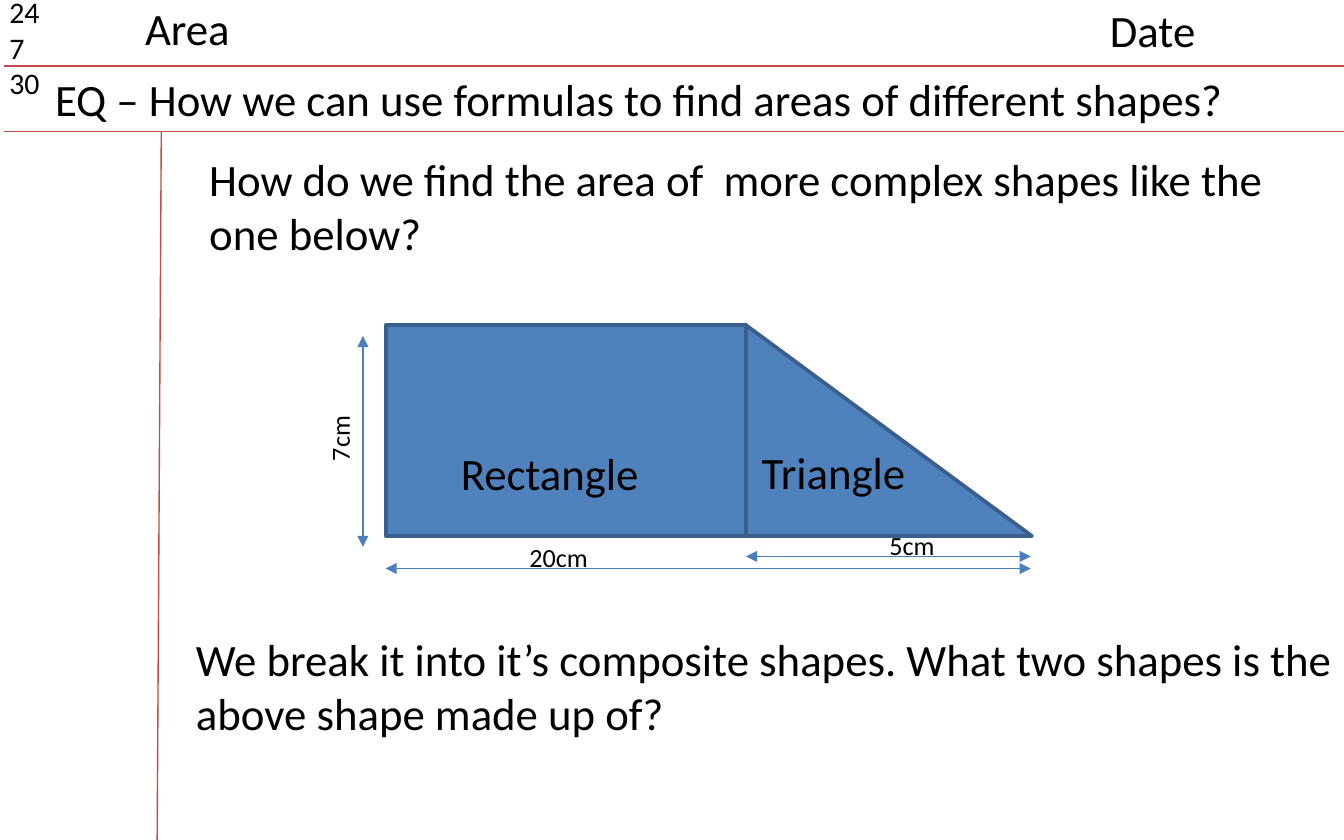
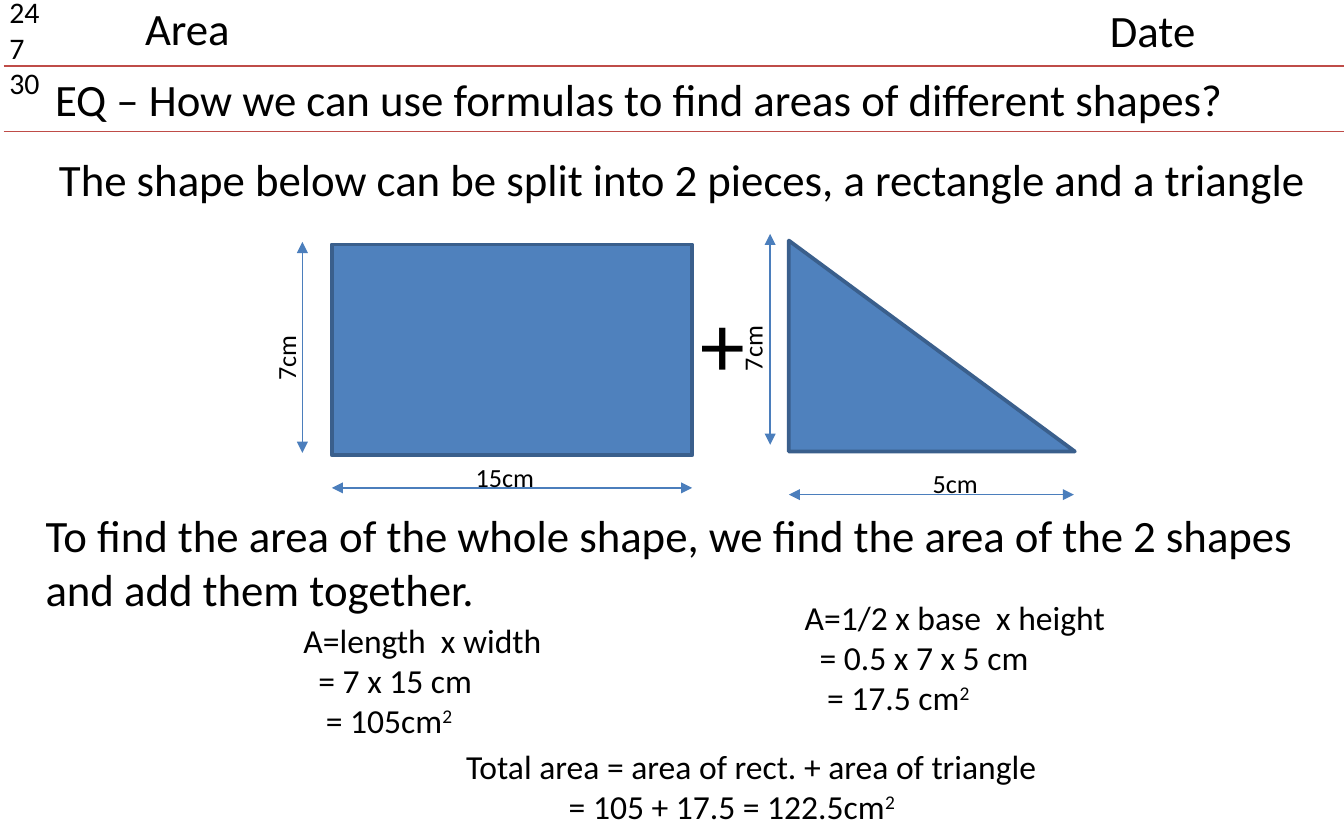
from lxml import etree
from pptx import Presentation
from pptx import util as u
from pptx.dml.color import RGBColor
from pptx.enum import shapes, text
from pptx.oxml import ns

Pt = u.Pt
COLORS = {"text": "000000", "rule": "BF4C48", "fill": "4F81BD", "edge": "3A5F8C", "arrow": "4B7EBC"}
FONT = "Calibri"
WIDTH, HEIGHT = 720, 450
RULES = [(2, 35.3, 722, 35.3), (2, 70.6, 722, 70.6)]
QUESTION = "EQ – How we can use formulas to find areas of different shapes?"
QUESTION_BOX = (22.3, 34.6, 668, 36)
HEADER = [
    (["24", "7", "30"], (-2, -7, 45, 66), 16),
    (["Area"], (70.6, -3, 60, 36), 24),
    (["Date"], (587.5, -2, 124.5, 36), 24),
]
SHAPES = {
    "rectangle": (shapes.MSO_SHAPE.RECTANGLE, 193, 113),
    "triangle": (shapes.MSO_SHAPE.RIGHT_TRIANGLE, 153.2, 113),
}
LABEL_WIDTH, LABEL_HEIGHT, LABEL_RISE = 73.4, 24.5, 18
SQUARED = "²"

SLIDES = [
    {
        "rules": [(86.4, 70.6, 84.2, 450)],
        "figures": [("rectangle", 206.6, 174.2), ("triangle", 399.6, 174.2)],
        "widths": [("20cm", 206.6, 552.2, 304.6, 276.5), ("5cm", 399.6, 552.2, 298.1, 469.4)],
        "heights": [("7cm", 194.4, 293, 180, 145.4, 205.2)],
        "texts": [
            (["How do we find the area of  more complex shapes like the one below?"],
             (105, 77.8, 586, 66), 24),
            (["We break it into it’s composite shapes. What two shapes is the above shape made up of?"],
             (97.9, 334.8, 641.5, 66), 24),
            (["Rectangle"], (239.8, 235.4, 111, 36), 24),
            (["Triangle"], (401, 234.7, 92.2, 36), 24),
        ],
        "workings": [],
    },
    {
        "rules": [],
        "figures": [("rectangle", 177.8, 131), ("triangle", 422.6, 128.9)],
        "widths": [("15cm", 177.8, 370.8, 261.4, 247.7), ("5cm", 422.6, 575.3, 265, 492.5)],
        "heights": [("7cm", 162, 242.6, 129.6, 116.6, 162), ("7cm", 412.6, 238.3, 125.3, 366.5, 157)],
        "texts": [
            (["The shape below can be split into 2 pieces, a rectangle and a triangle"],
             (24.5, 77.8, 697.7, 36), 24),
            (["To find the area of the whole shape, we find the area of the 2 shapes and add them together."],
             (17.3, 268.6, 697.7, 66), 24),
            (["+"], (368, 150.5, 79, 66), 48),
        ],
        "workings": [
            (["A=length  x width", "= 7 x 15 cm", "= 105cm²"], (155.5, 328.3, 210, 73), (0, 8, 12)),
            (["A=1/2 x base  x height", "= 0.5 x 7 x 5 cm", "= 17.5 cm²"], (424, 316, 210, 73), (0, 8, 12)),
            (["Total area = area of rect. + area of triangle", "= 105 + 17.5 = 122.5cm²"],
             (242.6, 396, 331, 51), (0, 55)),
        ],
    },
]


def color(name):
    return RGBColor.from_string(COLORS[name])


def style(paragraph, size):
    paragraph.font.name = FONT
    paragraph.font.size = Pt(size)
    paragraph.font.color.rgb = color("text")


def write_line(paragraph, line):
    paragraph.add_run().text = line.rstrip(SQUARED)
    if line.endswith(SQUARED):
        power = paragraph.add_run()
        power.text = "2"
        power.font._element.set("baseline", "30000")


def add_text(slide, lines, box, size, indents=(), rotation=0):
    holder = slide.shapes.add_textbox(*map(Pt, box))
    holder.rotation = rotation
    frame = holder.text_frame
    frame.word_wrap = True
    frame.auto_size = text.MSO_AUTO_SIZE.SHAPE_TO_FIT_TEXT
    for i, line in enumerate(lines):
        paragraph = frame.add_paragraph() if i else frame.paragraphs[0]
        if indents:
            paragraph._p.get_or_add_pPr().set("marL", str(Pt(indents[i])))
        write_line(paragraph, line)
        style(paragraph, size)


def add_line(slide, ends, name, arrows=False):
    line = slide.shapes.add_connector(shapes.MSO_CONNECTOR.STRAIGHT, *map(Pt, ends))
    line.line.color.rgb = color(name)
    line.line.width = Pt(0.75)
    if arrows:
        for end in ("a:headEnd", "a:tailEnd"):
            etree.SubElement(line.line._get_or_add_ln(), ns.qn(end), type="triangle")
    etree.SubElement(line._element.spPr, ns.qn("a:effectLst"))


def add_figure(slide, name, left, top):
    preset, width, height = SHAPES[name]
    figure = slide.shapes.add_shape(preset, Pt(left), Pt(top), Pt(width), Pt(height))
    figure.shadow.inherit = False
    figure.fill.solid()
    figure.fill.fore_color.rgb = color("fill")
    figure.line.color.rgb = color("edge")
    figure.line.width = Pt(2)


def add_question(slide):
    title = slide.shapes.title
    title.left, title.top, title.width, title.height = map(Pt, QUESTION_BOX)
    frame = title.text_frame
    frame.text = QUESTION
    frame.word_wrap = True
    frame.auto_size = text.MSO_AUTO_SIZE.NONE
    frame.vertical_anchor = text.MSO_ANCHOR.TOP
    frame.paragraphs[0].alignment = text.PP_ALIGN.LEFT
    style(frame.paragraphs[0], 24)


def build_slide(deck, content):
    slide = deck.slides.add_slide(deck.slide_layouts[5])
    add_question(slide)
    for ends in RULES + content["rules"]:
        add_line(slide, ends, "rule")
    for figure in content["figures"]:
        add_figure(slide, *figure)
    for label, left, right, y, label_left in content["widths"]:
        add_line(slide, (left, y, right, y), "arrow", True)
        add_text(slide, [label], (label_left, y - LABEL_RISE, LABEL_WIDTH, LABEL_HEIGHT), 14)
    for label, x, bottom, top, label_left, label_top in content["heights"]:
        add_line(slide, (x, bottom, x, top), "arrow", True)
        add_text(slide, [label], (label_left, label_top, LABEL_WIDTH, LABEL_HEIGHT), 14, rotation=270)
    for lines, box, size in HEADER + content["texts"]:
        add_text(slide, lines, box, size)
    for lines, box, indents in content["workings"]:
        add_text(slide, lines, box, 18, indents)


def main():
    deck = Presentation()
    deck.slide_width, deck.slide_height = Pt(WIDTH), Pt(HEIGHT)
    for content in SLIDES:
        build_slide(deck, content)
    deck.save("out.pptx")


if __name__ == "__main__":
    main()
